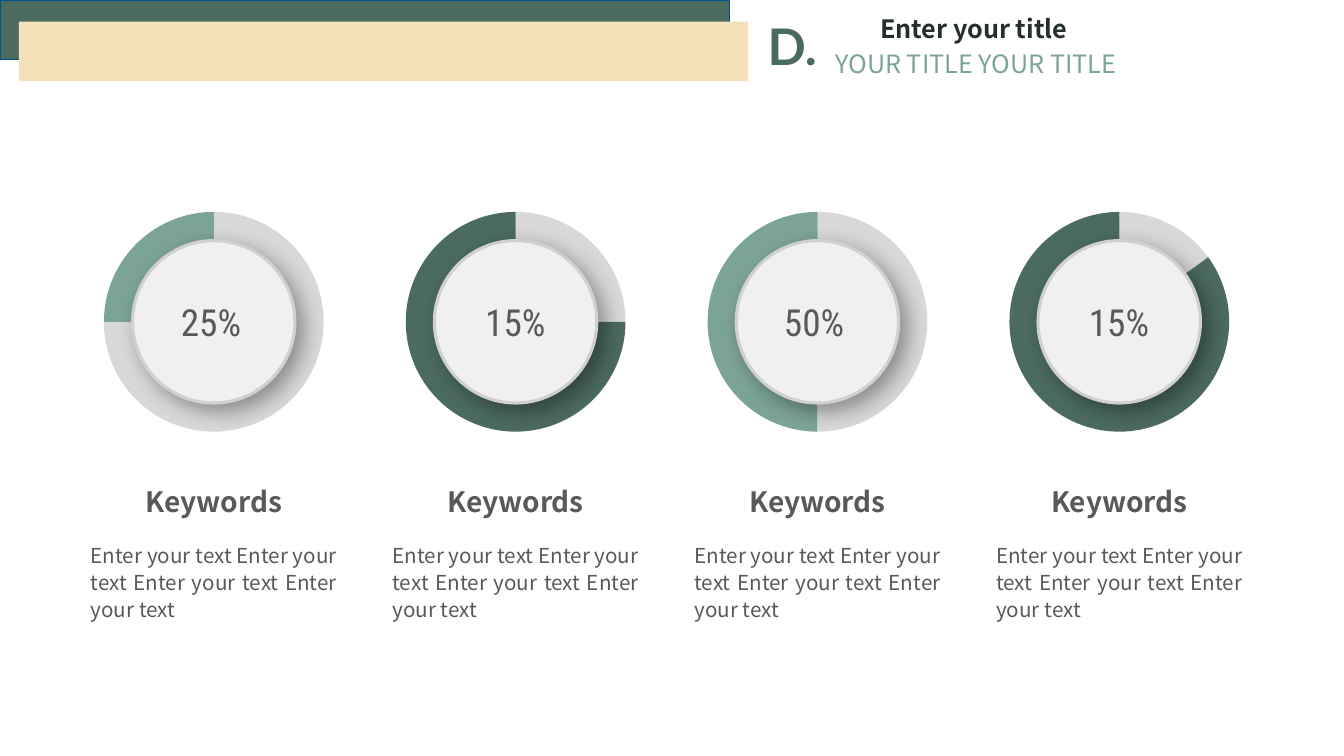
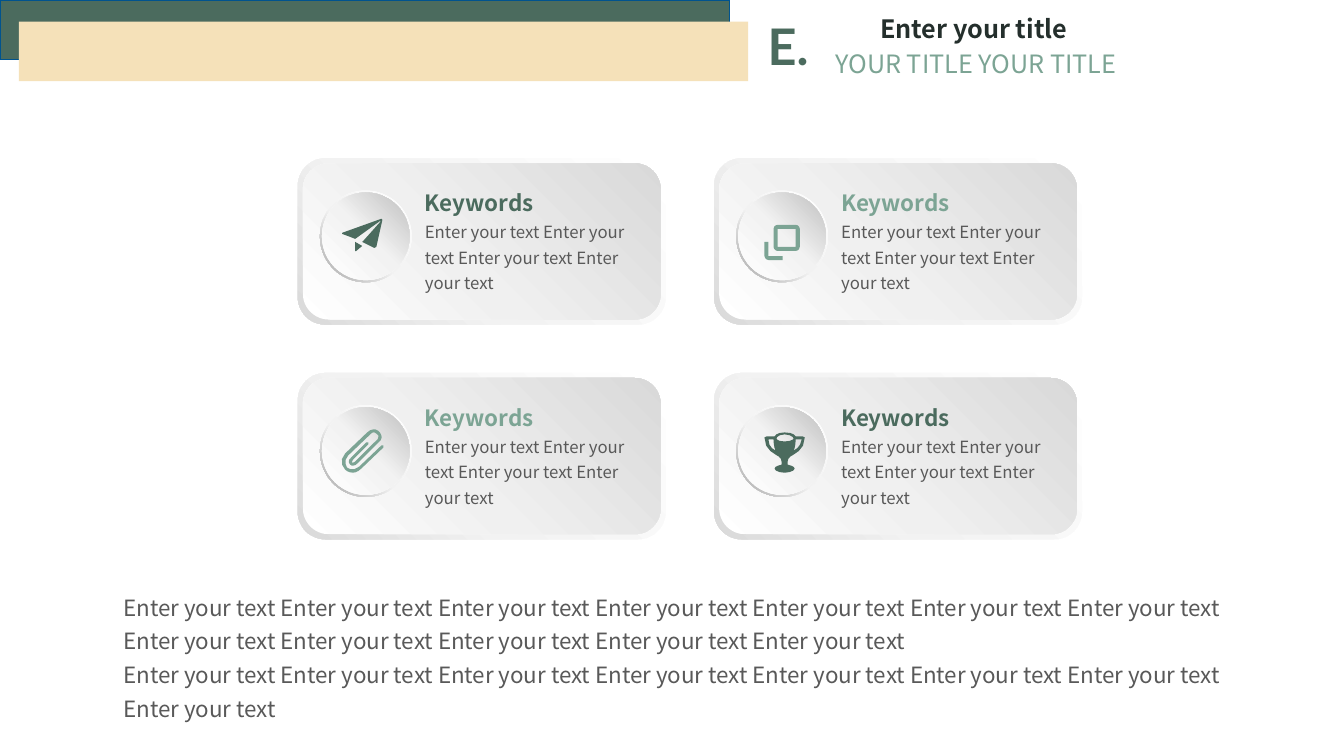
"""Build two keyword slides: a row of dials and a grid of cards."""
from dataclasses import dataclass
from math import dist

from lxml.etree import SubElement
from pptx import Presentation
from pptx.chart.data import CategoryChartData
from pptx.dml.color import RGBColor
from pptx.enum.chart import XL_CHART_TYPE
from pptx.enum.shapes import MSO_SHAPE
from pptx.enum.text import MSO_ANCHOR, MSO_AUTO_SIZE, PP_ALIGN
from pptx.oxml.ns import qn
from pptx.shapes.autoshape import Shape
from pptx.slide import Slide
from pptx.util import Pt

Point = tuple[float, float]
Outline = tuple[tuple[float, ...], ...]


@dataclass(frozen=True)
class Theme:
    dark: str = "4B6B5E"
    light: str = "7CA494"
    cream: str = "F5E1B9"
    edge: str = "00538E"
    ink: str = "242F2C"
    body: str = "595959"
    rest: str = "D8D8D8"
    rim: str = "D0D0D0"
    black: str = "000000"
    sans: str = "Noto Sans CJK SC"
    mark: str = "Lato"
    digit: str = "Roboto Condensed"
    chart: str = "Calibri"
    letter: float = 36
    title: float = 18
    value: float = 26.6
    head: float = 20
    text: float = 14.7
    label: float = 16
    small: float = 12
    tick: float = 10


THEME = Theme()


@dataclass(frozen=True)
class Box:
    left: float
    top: float
    width: float
    height: float

    def inner(self, x: float, y: float, width: float, height: float) -> "Box":
        return Box(self.left + x, self.top + y, width, height)

    def lengths(self) -> tuple[Pt, Pt, Pt, Pt]:
        return Pt(self.left), Pt(self.top), Pt(self.width), Pt(self.height)


@dataclass(frozen=True)
class Style:
    size: float
    color: str
    font: str = THEME.sans
    bold: bool = False
    align: PP_ALIGN | None = None
    space: float | None = None


@dataclass(frozen=True)
class Blend:
    angle: int
    stops: tuple[tuple[int, str], ...]


@dataclass(frozen=True)
class Dial:
    label: str
    width: float
    rest: int
    color: str


@dataclass(frozen=True)
class Icon:
    left: float
    top: float
    outlines: tuple[Outline, ...]


@dataclass(frozen=True)
class Card:
    icon: Icon
    color: str


PLANE = Icon(30.96, 43.2, (
    ((14, 32), (15, 32), (21, 27), (14, 23)),
    ((40, 0), (1, 14), (1, 15), (9, 18), (14, 20), (39, 2), (39, 3), (22, 22),
     (21, 23), (33, 29), (35, 28), (41, 1)),
))
SQUARES = Icon(36, 47.52, (
    ((4, 17), (0, 17), (0, 31), (0, 33, 2, 35, 4, 35), (18, 35), (18, 31), (4, 31)),
    ((31, 22), (13, 22), (13, 4), (31, 4)),
    ((31, 0), (13, 0), (11, 0, 9, 2, 9, 4), (9, 22), (9, 24, 11, 26, 13, 26),
     (31, 26), (33, 26, 35, 24, 35, 22), (35, 4), (35, 2, 33, 0, 31, 0)),
))
CLIP = Icon(30.24, 40.32, (
    ((13, 43), (10, 43, 7, 42, 5, 40), (1, 36, 0, 29, 5, 24), (27, 3),
     (30, 0, 33, 0, 35, 0), (38, 1, 40, 3, 41, 6), (42, 8, 41, 11, 38, 13), (17, 34),
     (16, 35, 15, 36, 13, 36), (12, 36, 11, 36, 10, 35), (8, 33, 8, 30, 11, 28),
     (26, 13), (28, 13), (28, 15), (13, 30), (12, 31, 12, 32, 12, 33), (13, 33),
     (15, 32), (36, 11), (38, 10, 38, 8, 38, 6), (37, 5, 36, 4, 34, 3),
     (33, 3, 31, 3, 30, 5), (8, 26), (4, 30, 5, 35, 7, 38), (10, 40, 14, 41, 19, 37),
     (41, 16), (43, 16), (43, 18), (21, 39), (18, 42, 15, 43, 13, 43)),
))
TROPHY = Icon(36, 42.48, (
    ((4, 7), (9, 7), (9, 12, 10, 16, 11, 18), (7, 16, 4, 13, 4, 7)),
    ((20, 2), (26, 2, 29, 5, 29, 6), (29, 7, 26, 9, 20, 9),
     (14, 9, 12, 7, 12, 6), (12, 5, 14, 2, 20, 2)),
    ((29, 18), (30, 16, 31, 12, 31, 7), (37, 7), (36, 13, 33, 16, 29, 18)),
    ((23, 29), (23, 26, 25, 24, 29, 22), (34, 19, 40, 15, 40, 5),
     (38, 4), (31, 4), (30, 2, 27, 0, 20, 0), (14, 0, 11, 2, 10, 4),
     (2, 4), (0, 5), (0, 15, 6, 19, 11, 22), (15, 24, 17, 26, 17, 29),
     (17, 32), (13, 33, 10, 34, 10, 36), (10, 38, 15, 40, 20, 40),
     (25, 40, 30, 38, 30, 36), (30, 34, 27, 33, 23, 32)),
))

DIALS = (Dial("25%", 61.2, 75, THEME.light), Dial("15%", 57.6, 25, THEME.dark),
         Dial("50%", 61.92, 50, THEME.light), Dial("15%", 57.6, 15, THEME.dark))
CARDS = (Card(PLANE, THEME.dark), Card(SQUARES, THEME.light),
         Card(CLIP, THEME.light), Card(TROPHY, THEME.dark))

DISC = Blend(45, ((0, "F0F0F0"), (100, "F1F1F1")))
FRAME = Blend(135, ((0, "FFFFFF"), (62, "F2F2F2"), (100, "D9D9D9")))
PANEL = Blend(315, ((0, "FFFFFF"), (42, "F0F0F0"), (100, "D9D9D9")))
RING = Blend(135, ((0, "FFFFFF"), (55, "F2F2F2"), (100, "A6A6A6")))
BUTTON = Blend(315, ((0, "FFFFFF"), (51, "F2F2F2"), (100, "BFBFBF")))


def filler(count: int) -> str:
    return " ".join(["Enter your text"] * count)


def paint(shape: Shape, fill: str | Blend, line: str | None = None, width: float = 1) -> None:
    shape.shadow.inherit = False
    if isinstance(fill, Blend):
        shape.fill.gradient()
        shape.fill.gradient_angle = (360 - fill.angle) % 360
        stops = shape._element.spPr.find(qn("a:gradFill")).find(qn("a:gsLst"))
        for old in list(stops):
            stops.remove(old)
        for spot, color in fill.stops:
            stop = SubElement(stops, qn("a:gs"), pos=str(spot * 1000))
            SubElement(stop, qn("a:srgbClr"), val=color)
    else:
        shape.fill.solid()
        shape.fill.fore_color.rgb = RGBColor.from_string(fill)
    if line is None:
        shape.line.fill.background()
    else:
        shape.line.color.rgb = RGBColor.from_string(line)
        shape.line.width = Pt(width)


def add_form(slide: Slide, kind: MSO_SHAPE, box: Box, fill: str | Blend,
             line: str | None = None, width: float = 1) -> Shape:
    shape = slide.shapes.add_shape(kind, *box.lengths())
    paint(shape, fill, line, width)
    return shape


def add_text(slide: Slide, box: Box, text: str, style: Style,
             wrap: bool = True, flush: bool = False) -> Shape:
    shape = slide.shapes.add_textbox(*box.lengths())
    frame = shape.text_frame
    frame.text = text
    frame.word_wrap = wrap
    if flush:
        frame.margin_left = frame.margin_top = frame.margin_right = frame.margin_bottom = Pt(0)
    else:
        frame.auto_size = MSO_AUTO_SIZE.SHAPE_TO_FIT_TEXT
    for line in frame.paragraphs:
        line.alignment = style.align
        line.line_spacing = style.space
        for run in line.runs:
            run.font.name = style.font
            run.font.size = Pt(style.size)
            run.font.bold = style.bold
            run.font.color.rgb = RGBColor.from_string(style.color)
    return shape


def add_head(slide: Slide, letter: str) -> None:
    add_form(slide, MSO_SHAPE.RECTANGLE, Box(0, 0, 521.28, 42.48), THEME.dark, THEME.edge)
    add_text(slide, Box(582.9, 5.76, 225.36, 28.8), "Enter your title",
             Style(THEME.title, THEME.ink, bold=True, align=PP_ALIGN.CENTER))
    add_form(slide, MSO_SHAPE.RECTANGLE, Box(13.5, 15.5, 521, 42.48), THEME.cream)
    add_text(slide, Box(541.2, 7.2, 56, 51.12), letter,
             Style(THEME.letter, THEME.dark, THEME.mark, True), wrap=False)
    add_text(slide, Box(589.68, 30.96, 225.36, 28.8), "YOUR TITLE YOUR TITLE",
             Style(THEME.title, THEME.light))


def add_pie(slide: Slide, box: Box, dial: Dial) -> None:
    data = CategoryChartData()
    data.categories = ["1", "2"]
    data.add_series("Series 1", (dial.rest, 100 - dial.rest))
    chart = slide.shapes.add_chart(XL_CHART_TYPE.PIE, *box.lengths(), data).chart
    chart.has_legend = False
    chart.has_title = False
    chart.font.name = THEME.chart
    chart.font.size = Pt(THEME.tick)
    chart.font.color.rgb = RGBColor.from_string(THEME.black)
    plot = chart.plots[0]
    plot.vary_by_categories = True
    for index, color in enumerate((THEME.rest, dial.color)):
        part = plot.series[0].points[index].format
        part.fill.solid()
        part.fill.fore_color.rgb = RGBColor.from_string(color)
        part.line.fill.background()
    area = chart._chartSpace.chart.plotArea
    for old in area.findall(qn("c:layout")):
        area.remove(old)
    layout = SubElement(area, qn("c:layout"))
    area.insert(0, layout)
    manual = SubElement(layout, qn("c:manualLayout"))
    for tag, value in (("layoutTarget", "inner"), ("xMode", "edge"), ("yMode", "edge"),
                       ("x", "0.147"), ("y", "0.055"), ("w", "0.706"), ("h", "0.89")):
        SubElement(manual, qn(f"c:{tag}"), val=value)


def add_dial(slide: Slide, box: Box, dial: Dial) -> None:
    add_pie(slide, box, dial)
    disc = add_form(slide, MSO_SHAPE.OVAL, box.inner(53.2, 30.2, 116, 116), DISC, THEME.rim, 2.25)
    shade = SubElement(disc._element.spPr.find(qn("a:effectLst")), qn("a:outerShdw"),
                       blurRad=str(Pt(15)), dist=str(Pt(7)), dir="2700000",
                       algn="tl", rotWithShape="0")
    tint = SubElement(shade, qn("a:srgbClr"), val=THEME.black)
    SubElement(tint, qn("a:alpha"), val="35000")
    add_text(slide, box.inner(111.2 - dial.width / 2, 68.4, dial.width, 39.6), dial.label,
             Style(THEME.value, THEME.body, THEME.digit), wrap=False)
    add_text(slide, box.inner(16.2, 240.5, 190, 66.24), filler(4),
             Style(THEME.text, THEME.body, align=PP_ALIGN.JUSTIFY, space=1.1))
    add_text(slide, box.inner(39.6, 200.6, 143.28, 31.68), "Keywords",
             Style(THEME.head, THEME.body, bold=True, align=PP_ALIGN.CENTER))


def trace(outline: Outline) -> list[Point]:
    points = [(outline[0][0], outline[0][1])]
    for part in outline[1:]:
        if len(part) == 2:
            points.append((part[0], part[1]))
            continue
        a, b = points[-1]
        c, d, e, f, g, h = part
        steps = min(3, 1 + int(dist((a, b), (g, h)) / 2.5))
        for step in range(1, steps + 1):
            t = step / steps
            u = 1 - t
            k, m, n, p = u ** 3, 3 * u * u * t, 3 * u * t * t, t ** 3
            points.append((k * a + m * c + n * e + p * g, k * b + m * d + n * f + p * h))
    return points


def add_icon(slide: Slide, box: Box, card: Card) -> None:
    left, top = box.left + card.icon.left, box.top + card.icon.top
    rings = [[(Pt(left + x * 0.72), Pt(top + y * 0.72)) for x, y in trace(outline)]
             for outline in card.icon.outlines]
    pen = slide.shapes.build_freeform(*rings[0][0])
    pen.add_line_segments(rings[0][1:], close=True)
    for ring in rings[1:]:
        pen.move_to(*ring[0])
        pen.add_line_segments(ring[1:], close=True)
    paint(pen.convert_to_shape(), card.color)


def add_card(slide: Slide, box: Box, card: Card) -> None:
    add_form(slide, MSO_SHAPE.ROUNDED_RECTANGLE, box, FRAME)
    add_form(slide, MSO_SHAPE.ROUNDED_RECTANGLE, box.inner(3.6, 3.6, 255.6, 111.6), PANEL)
    ring = add_form(slide, MSO_SHAPE.DONUT, box.inner(15.84, 23.04, 65.52, 65.52), RING)
    ring.adjustments[0] = 0.049
    add_form(slide, MSO_SHAPE.OVAL, box.inner(17.28, 24.48, 62.64, 62.64), BUTTON)
    head = add_text(slide, box.inner(90.8, 23.04, 153.36, 22.32), "Keywords",
                    Style(THEME.label, card.color, bold=True, space=0.7), flush=True)
    head.text_frame.vertical_anchor = MSO_ANCHOR.MIDDLE
    add_text(slide, box.inner(90.8, 42.1, 153.36, 64.8), filler(4),
             Style(THEME.small, THEME.body, space=1.25), flush=True)
    add_icon(slide, box, card)


def main() -> None:
    deck = Presentation()
    deck.slide_width, deck.slide_height = Pt(960), Pt(540)
    first, second = (deck.slides.add_slide(deck.slide_layouts[6]) for _ in range(2))
    add_head(first, "D.")
    for index, dial in enumerate(DIALS):
        add_dial(first, Box(41.5 + index * 215.6, 141.7, 222.48, 176.4), dial)
    add_head(second, "E.")
    for index, card in enumerate(CARDS):
        row, col = divmod(index, 2)
        add_card(second, Box(212.7 + col * 297.36, 113.04 + row * 153.36, 262.8, 118.8), card)
    add_text(second, Box(81, 415.9, 798.48, 126), f"{filler(12)}\n{filler(8)}",
             Style(THEME.label, THEME.body, space=1.25))
    deck.save("out.pptx")


if __name__ == "__main__":
    main()
